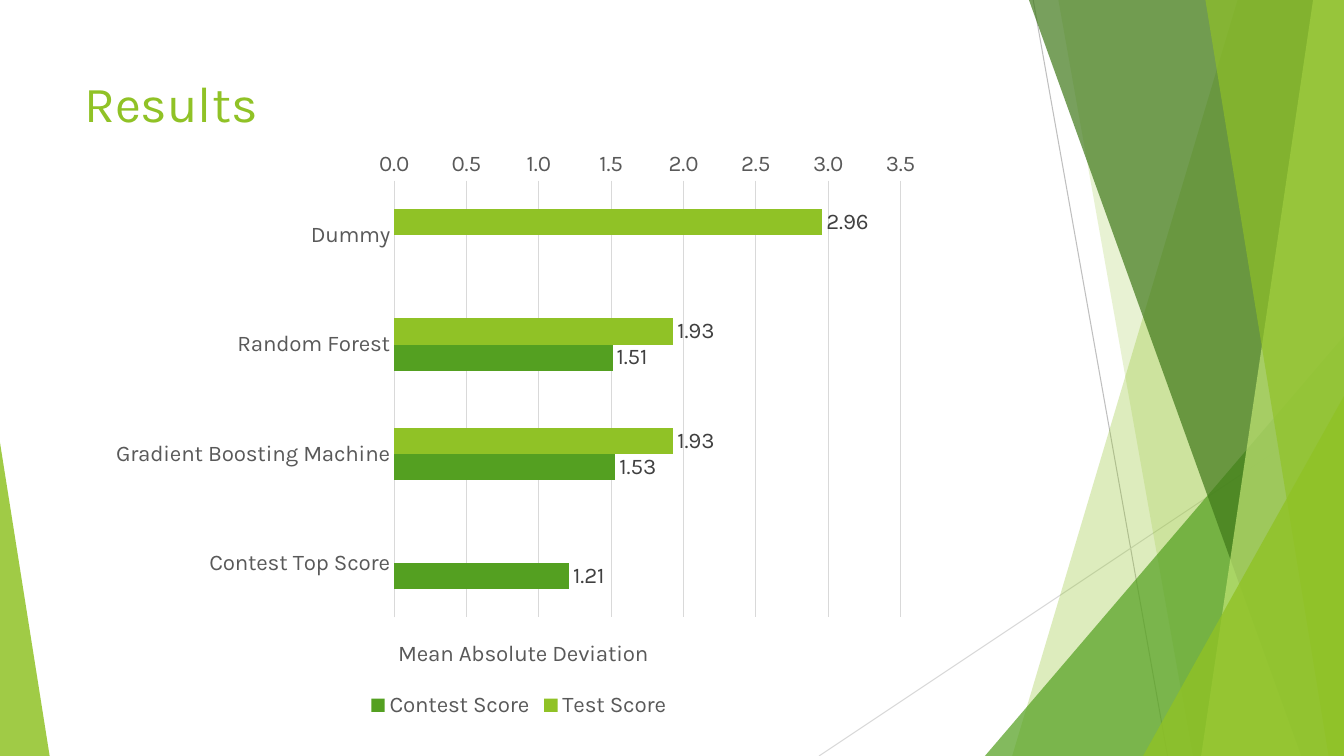
from dataclasses import dataclass
from typing import Any

from lxml.etree import SubElement as Sub
from pptx import Presentation
from pptx.chart.data import CategoryChartData as Data
from pptx.dml.color import RGBColor as RGB
from pptx.enum.chart import XL_CHART_TYPE as Kind
from pptx.enum.chart import XL_LABEL_POSITION as Place
from pptx.enum.chart import XL_LEGEND_POSITION as Side
from pptx.enum.chart import XL_TICK_MARK as Tick
from pptx.enum.shapes import MSO_CONNECTOR as Link
from pptx.enum.shapes import MSO_SHAPE as Form
from pptx.enum.text import MSO_ANCHOR as Anchor
from pptx.enum.text import MSO_AUTO_SIZE as Fit
from pptx.enum.text import PP_ALIGN as Align
from pptx.oxml import parse_xml
from pptx.oxml.ns import nsdecls, qn
from pptx.util import Pt

WIDE, HIGH = 960, 540


@dataclass(frozen=True)
class Theme:
    font: str = "Karla"
    head: int = 36
    body: int = 16
    lime: str = "90C226"
    green: str = "54A021"
    dark: str = "3F7819"
    pale: str = "C0E474"
    text: str = "595959"
    label: str = "404040"
    grid: str = "D9D9D9"
    ray: str = "BFBFBF"
    thin: float = 0.75


@dataclass(frozen=True)
class Ray:
    start: tuple[float, float]
    end: tuple[float, float]
    color: str


@dataclass(frozen=True)
class Facet:
    """A panel from a slanted left edge to the right side of the slide."""
    top: float
    base: float
    color: str
    alpha: int


@dataclass(frozen=True)
class Wedge:
    """A right triangle standing on the bottom of the slide."""
    left: float
    width: float
    height: float
    lean: int
    color: str
    alpha: int


@dataclass(frozen=True)
class Bars:
    name: str
    vals: tuple[float | None, ...]
    color: str


T = Theme()

RAYS = [
    Ray((738, 0), (834, HIGH), T.ray),
    Ray((WIDE, 290), (585, HIGH), T.grid),
]
DECOR = [
    Facet(884, 723, T.lime, 30),
    Facet(756, 852, T.lime, 20),
    Wedge(703.5, 256.5, 300, 1, T.green, 72),
    Facet(735, 929.5, T.dark, 70),
    Facet(938, 858, T.pale, 70),
    Facet(861, 949, T.lime, 65),
    Wedge(816.5, 143.5, 257, 1, T.lime, 80),
    Wedge(0, 35.5, 224, 0, T.lime, 85),
]
MODELS = ["Dummy", "Random Forest", "Gradient Boosting Machine",
          "Contest Top Score"]
SCORES = [
    Bars("Test Score", (2.96, 1.93, 1.93, None), T.lime),
    Bars("Contest Score", (None, 1.51, 1.53, 1.21), T.green),
]


def put(item: Any, vals: dict[str, Any]) -> None:
    for key, val in vals.items():
        setattr(item, key, val)


def style(font: Any, size: int, color: str) -> None:
    put(font, {"name": T.font, "size": Pt(size), "bold": False})
    font.color.rgb = RGB.from_string(color)


def stroke(line: Any, color: str) -> None:
    line.color.rgb = RGB.from_string(color)
    line.width = Pt(T.thin)


def paint(shape: Any, color: str, alpha: int) -> None:
    shape.shadow.inherit = False
    shape.line.fill.background()
    shape.fill.solid()
    shape.fill.fore_color.rgb = RGB.from_string(color)
    tint = shape.fill._xPr.find(".//" + qn("a:srgbClr"))
    Sub(tint, qn("a:alpha"), val=str(alpha * 1000))


def add_ray(shapes: Any, ray: Ray) -> None:
    line = shapes.add_connector(
        Link.STRAIGHT, *(Pt(n) for n in ray.start + ray.end))
    stroke(line.line, ray.color)
    Sub(line._element.spPr, qn("a:effectLst"))


def add_facet(shapes: Any, facet: Facet) -> None:
    pen = shapes.build_freeform(Pt(facet.top), 0)
    pen.add_line_segments([(Pt(x), Pt(y)) for x, y in (
        (WIDE, 0), (WIDE, HIGH), (facet.base, HIGH))])
    paint(pen.convert_to_shape(), facet.color, facet.alpha)


def add_wedge(shapes: Any, wedge: Wedge) -> None:
    shape = shapes.add_shape(
        Form.ISOSCELES_TRIANGLE, Pt(wedge.left), Pt(HIGH - wedge.height),
        Pt(wedge.width), Pt(wedge.height))
    shape.adjustments[0] = wedge.lean
    paint(shape, wedge.color, wedge.alpha)


def layout(inner: bool, **spots: float) -> Any:
    """Manual layout, as fractions of the chart frame."""
    target = '<c:layoutTarget val="inner"/>' if inner else ""
    modes = "".join(f'<c:{k}Mode val="edge"/>' for k in "xy")
    sizes = "".join(f'<c:{k} val="{v}"/>' for k, v in spots.items())
    return parse_xml(f"<c:layout {nsdecls('c')}><c:manualLayout>{target}"
                     f"{modes}{sizes}</c:manualLayout></c:layout>")


def add_title(slide: Any, text: str) -> None:
    title = slide.shapes.title
    put(title, {"left": Pt(53), "top": Pt(48),
                "width": Pt(677), "height": Pt(104)})
    frame = title.text_frame
    frame.text = text
    put(frame, {"vertical_anchor": Anchor.TOP, "word_wrap": True,
                "auto_size": Fit.NONE})
    frame.paragraphs[0].alignment = Align.LEFT
    style(frame.paragraphs[0].runs[0].font, T.head, T.lime)


def add_bars(shapes: Any) -> None:
    data = Data(number_format="0.00")
    data.categories = MODELS
    for bars in SCORES:
        data.add_series(bars.name, bars.vals)
    chart = shapes.add_chart(Kind.BAR_CLUSTERED, Pt(74), Pt(100),
                             Pt(593), Pt(416), data).chart
    style(chart.font, T.body, T.text)
    put(chart, {"has_title": False, "has_legend": True})
    put(chart.legend, {"position": Side.BOTTOM, "include_in_layout": False})
    style(chart.legend.font, T.body, T.text)

    # Series and value labels
    plot = chart.plots[0]
    put(plot, {"gap_width": 219, "overlap": 0, "vary_by_categories": False})
    for bars, series in zip(SCORES, plot.series):
        series.format.fill.solid()
        series.format.fill.fore_color.rgb = RGB.from_string(bars.color)
        put(series.data_labels, {
            "show_value": True, "position": Place.OUTSIDE_END,
            "number_format": "0.00", "number_format_is_linked": False})
        style(series.data_labels.font, T.body, T.label)

    # Axes
    cat, val = chart.category_axis, chart.value_axis
    for axis in (cat, val):
        put(axis, {"major_tick_mark": Tick.NONE, "minor_tick_mark": Tick.NONE})
        style(axis.tick_labels.font, T.body, T.text)
    cat.reverse_order = True
    stroke(cat.format.line, T.grid)
    put(val, {"minimum_scale": 0, "maximum_scale": 3.5, "major_unit": 0.5,
              "has_major_gridlines": True})
    put(val.tick_labels, {"number_format": "0.0",
                          "number_format_is_linked": False})
    val.format.line.fill.background()
    stroke(val.major_gridlines.format.line, T.grid)
    name = val.axis_title.text_frame
    name.text = "Mean Absolute Deviation"
    style(name.paragraphs[0].runs[0].font, T.body, T.text)

    # Positions of the plot and the axis title
    area = chart._chartSpace.chart.plotArea
    for old in area.findall(qn("c:layout")):
        area.remove(old)
    area.insert(0, layout(True, x=0.35, y=0.07, w=0.61, h=0.75))
    head = val.axis_title._element
    for old in head.findall(qn("c:layout")):
        head.remove(old)
    head.find(qn("c:tx")).addnext(layout(False, x=0.35, y=0.85))


def main() -> None:
    deck = Presentation()
    put(deck, {"slide_width": Pt(WIDE), "slide_height": Pt(HIGH)})
    slide = deck.slides.add_slide(deck.slide_layouts[5])
    for ray in RAYS:
        add_ray(slide.shapes, ray)
    for part in DECOR:
        draw = add_facet if isinstance(part, Facet) else add_wedge
        draw(slide.shapes, part)
    add_title(slide, "Results")
    add_bars(slide.shapes)
    deck.save("out.pptx")


if __name__ == "__main__":
    main()
